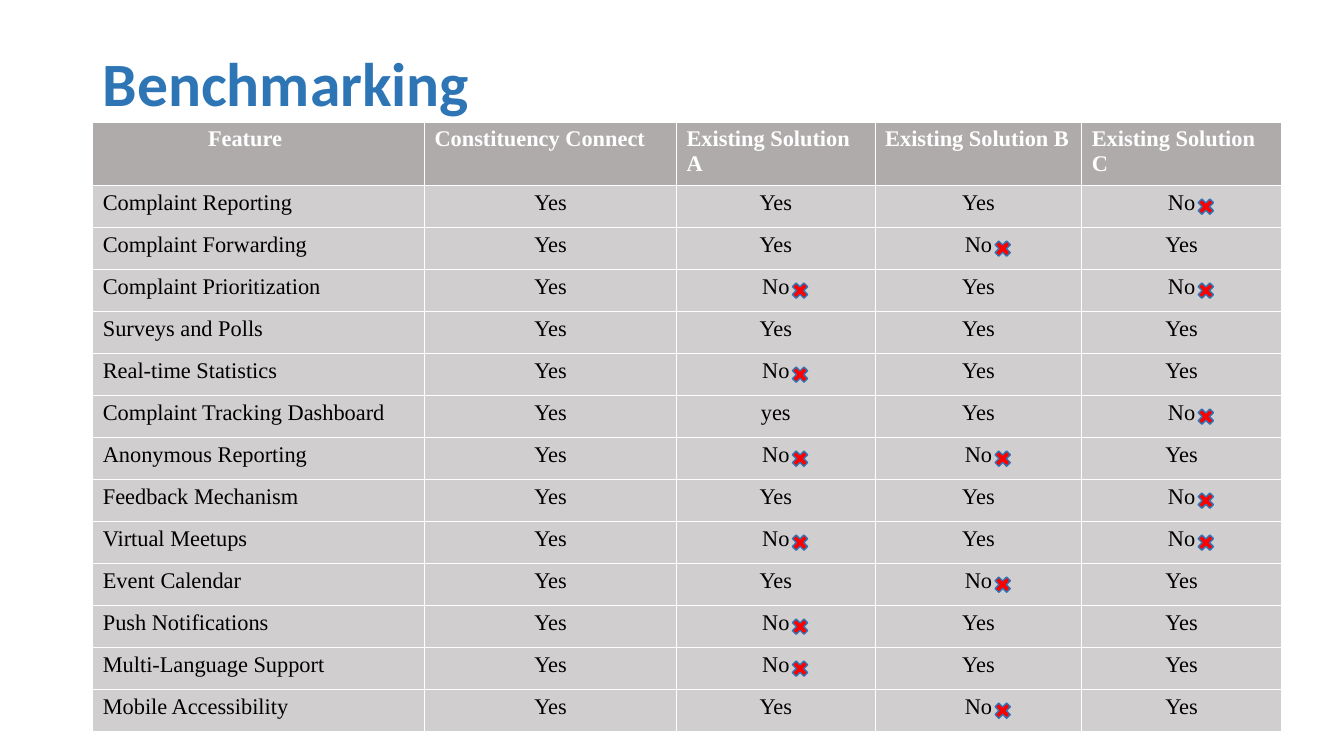
from dataclasses import dataclass
from itertools import accumulate

from pptx import Presentation
from pptx.dml.color import RGBColor
from pptx.enum.shapes import MSO_SHAPE
from pptx.enum.text import MSO_ANCHOR, PP_ALIGN
from pptx.util import Inches, Pt

LEFT, CENTER = PP_ALIGN.LEFT, PP_ALIGN.CENTER
MIDDLE = MSO_ANCHOR.MIDDLE
CROSS = MSO_SHAPE.MATH_MULTIPLY

TITLE = "Benchmarking"
HEADERS = ("Feature", "Constituency Connect", "Existing Solution A",
           "Existing Solution B", "Existing Solution C")
FEATURES = [
    ("Complaint Reporting", "Yes", "Yes", "Yes", "No"),
    ("Complaint Forwarding", "Yes", "Yes", "No", "Yes"),
    ("Complaint Prioritization", "Yes", "No", "Yes", "No"),
    ("Surveys and Polls", "Yes", "Yes", "Yes", "Yes"),
    ("Real-time Statistics", "Yes", "No", "Yes", "Yes"),
    ("Complaint Tracking Dashboard", "Yes", "yes", "Yes", "No"),
    ("Anonymous Reporting", "Yes", "No", "No", "Yes"),
    ("Feedback Mechanism", "Yes", "Yes", "Yes", "No"),
    ("Virtual Meetups", "Yes", "No", "Yes", "No"),
    ("Event Calendar", "Yes", "Yes", "No", "Yes"),
    ("Push Notifications", "Yes", "No", "Yes", "Yes"),
    ("Multi-Language Support", "Yes", "No", "Yes", "Yes"),
    ("Mobile Accessibility", "Yes", "Yes", "No", "Yes"),
]


@dataclass(frozen=True)
class Theme:
    accent: str = "2E75B6"
    header_fill: str = "AFABAB"
    body_fill: str = "D0CECE"
    header_text: str = "FFFFFF"
    body_text: str = "000000"
    cross: str = "FF0000"
    title_font: str = "Calibri"
    table_font: str = "Times New Roman"
    title_size: int = 44
    table_size: int = 16


THEME = Theme()

# Lengths in inches
SLIDE_WIDTH, SLIDE_HEIGHT = 13.33, 7.5
MARGIN = 0.92
TITLE_TOP, TITLE_WIDTH, TITLE_HEIGHT = 0.13, 11.5, 1.45
TABLE_TOP = 1.21
COLUMN_WIDTHS = (3.29, 2.5, 1.97, 2.05, 1.98)
ROW_HEIGHT = SLIDE_HEIGHT / 18
HEADER_HEIGHT = 0.59  # two wrapped lines
FEATURE_RIGHT_INSET = 0.37
CROSS_SIZE = 0.22
CROSS_SHIFT = (0.13, 0.14)  # from the column's centre and the row's top


def rgb(value):
    return RGBColor.from_string(value)


def write(frame, text, *, font, size, color, bold=False, align=LEFT, spacing=None):
    paragraph = frame.paragraphs[0]
    paragraph.alignment = align
    paragraph.line_spacing = spacing
    run = paragraph.add_run()
    run.text = text
    run.font.name = font
    run.font.size = Pt(size)
    run.font.bold = bold
    run.font.color.rgb = rgb(color)


def add_title(slide):
    box = slide.shapes.add_textbox(Inches(MARGIN), Inches(TITLE_TOP),
                                   Inches(TITLE_WIDTH), Inches(TITLE_HEIGHT))
    frame = box.text_frame
    frame.word_wrap = True
    frame.vertical_anchor = MIDDLE
    write(frame, TITLE, font=THEME.title_font, size=THEME.title_size,
          color=THEME.accent, bold=True, spacing=0.9)


def add_feature_table(slide):
    rows = [HEADERS, *FEATURES]
    table = slide.shapes.add_table(
        len(rows), len(HEADERS), Inches(MARGIN), Inches(TABLE_TOP),
        Inches(sum(COLUMN_WIDTHS)), Inches(ROW_HEIGHT * len(rows))).table
    table.horz_banding = False
    for column, width in zip(table.columns, COLUMN_WIDTHS):
        column.width = Inches(width)
    for row_index, values in enumerate(rows):
        is_header = row_index == 0
        table.rows[row_index].height = Inches(ROW_HEIGHT)
        for column_index, value in enumerate(values):
            cell = table.cell(row_index, column_index)
            cell.fill.solid()
            cell.fill.fore_color.rgb = rgb(THEME.header_fill if is_header else THEME.body_fill)
            centred = is_header == (column_index == 0)
            write(cell.text_frame, value, font=THEME.table_font, size=THEME.table_size,
                  color=THEME.header_text if is_header else THEME.body_text,
                  bold=is_header, align=CENTER if centred else LEFT)
    table.cell(0, 0).margin_right = Inches(FEATURE_RIGHT_INSET)


def add_crosses(slide):
    """Put a cross beside every "No"."""
    column_lefts = list(accumulate(COLUMN_WIDTHS, initial=MARGIN))
    shift_x, shift_y = CROSS_SHIFT
    for row_index, values in enumerate(FEATURES):
        top = TABLE_TOP + HEADER_HEIGHT + row_index * ROW_HEIGHT + shift_y
        for value, column_left, width in zip(values, column_lefts, COLUMN_WIDTHS):
            if value != "No":
                continue
            left = column_left + width / 2 + shift_x
            shape = slide.shapes.add_shape(CROSS, Inches(left), Inches(top),
                                           Inches(CROSS_SIZE), Inches(CROSS_SIZE))
            shape.shadow.inherit = False
            shape.fill.solid()
            shape.fill.fore_color.rgb = rgb(THEME.cross)
            shape.line.color.rgb = rgb(THEME.accent)
            shape.line.width = Pt(1)


def main():
    presentation = Presentation()
    presentation.slide_width = Inches(SLIDE_WIDTH)
    presentation.slide_height = Inches(SLIDE_HEIGHT)
    slide = presentation.slides.add_slide(presentation.slide_layouts[6])
    add_title(slide)
    add_feature_table(slide)
    add_crosses(slide)
    presentation.save("out.pptx")


if __name__ == "__main__":
    main()
